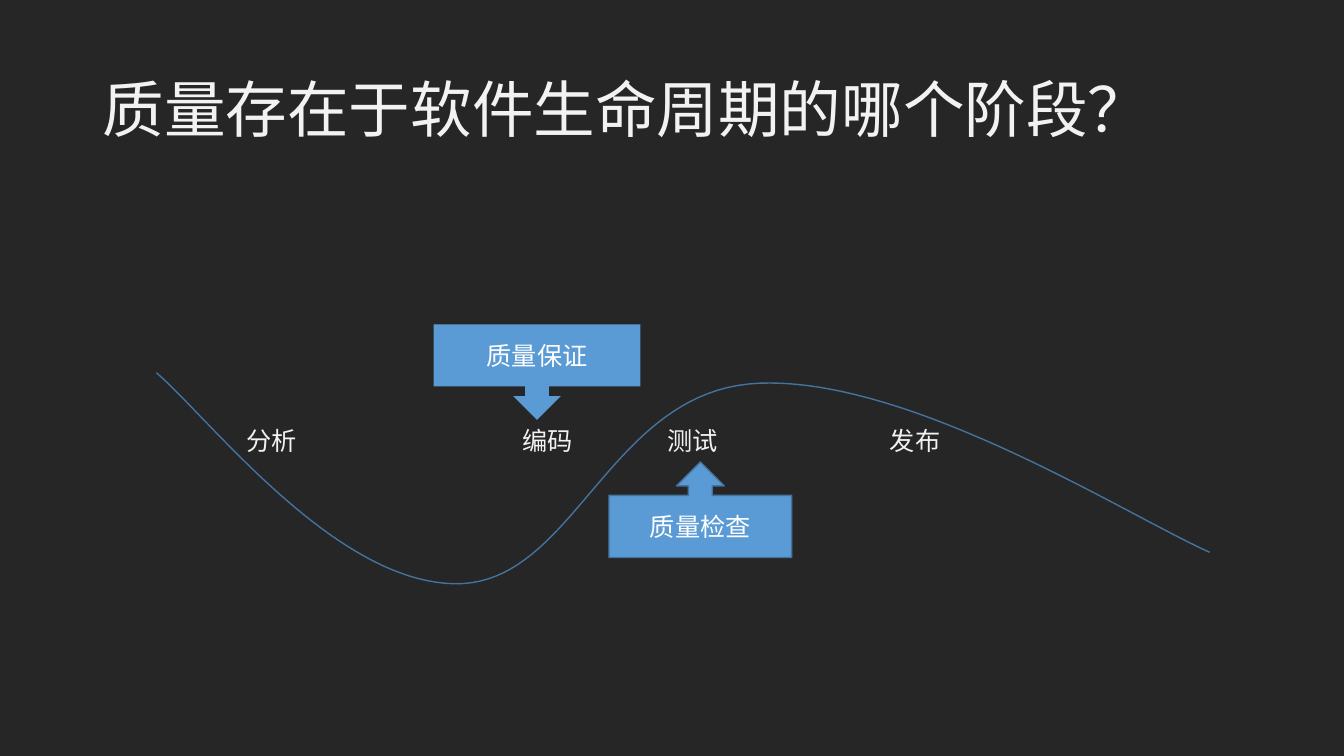
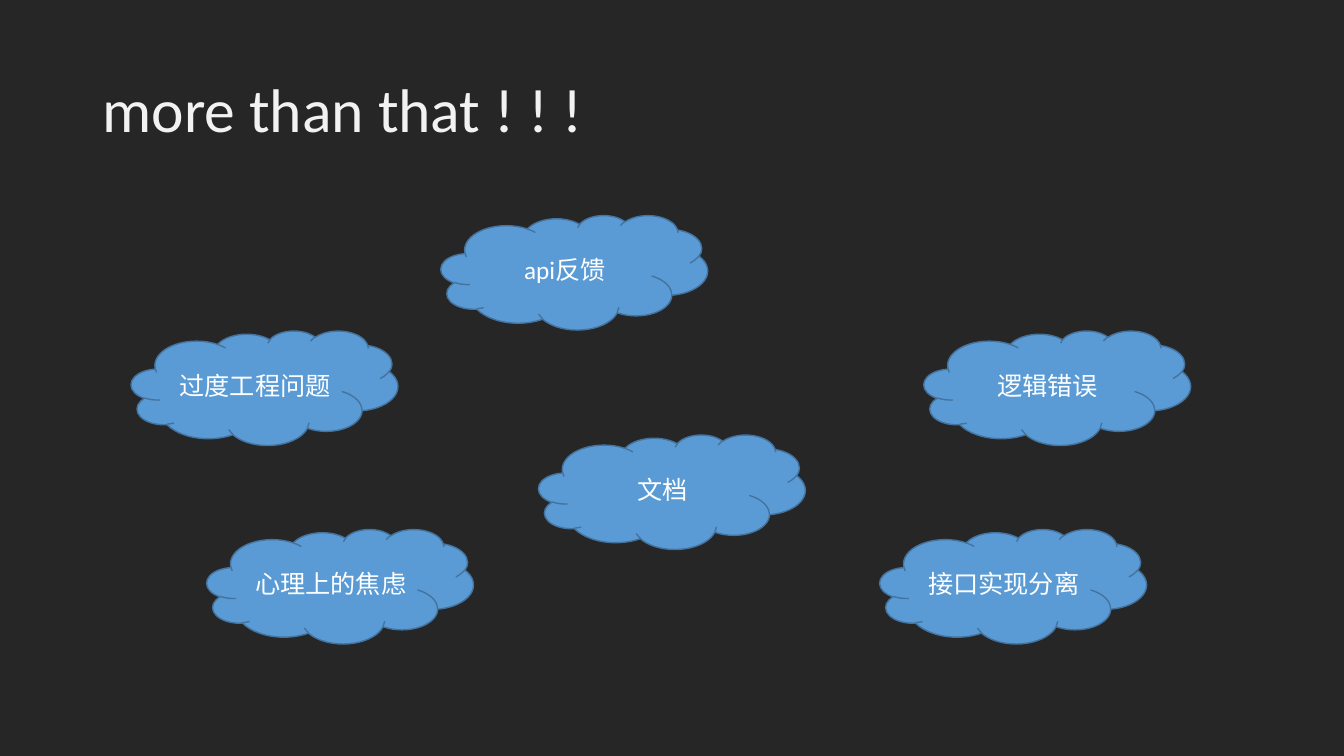
"""Build two dark slides on where software quality lives."""
import pptx
import pptx.dml.color
import pptx.enum.shapes
import pptx.enum.text
import pptx.util

PX = 9525
BACKGROUND = pptx.dml.color.RGBColor(0x26, 0x26, 0x26)
LIGHT = pptx.dml.color.RGBColor(0xF2, 0xF2, 0xF2)
WHITE = pptx.dml.color.RGBColor(0xFF, 0xFF, 0xFF)
BLUE = pptx.dml.color.RGBColor(0x5B, 0x9B, 0xD5)
OUTLINE = pptx.dml.color.RGBColor(0x43, 0x73, 0x9E)
SHAPES = pptx.enum.shapes.MSO_SHAPE
ALIGN = pptx.enum.text.PP_ALIGN
FIT = pptx.enum.text.MSO_AUTO_SIZE


def write(shape, text, size, color, align):
    frame = shape.text_frame
    frame.text = text
    frame.word_wrap = True
    para = frame.paragraphs[0]
    para.alignment = align
    font = para.runs[0].font
    font.name = "Calibri"
    font.size = pptx.util.Pt(size)
    font.color.rgb = color


def add_blue_shape(page, kind, text, left, top, width, height, outlined=True):
    shape = page.shapes.add_shape(kind, left * PX, top * PX, width * PX, height * PX)
    shape.shadow.inherit = False
    shape.fill.solid()
    shape.fill.fore_color.rgb = BLUE
    if outlined:
        shape.line.color.rgb = OUTLINE
        shape.line.width = pptx.util.Pt(1)
    else:
        shape.line.fill.background()
    write(shape, text, 18, WHITE, ALIGN.CENTER)
    shape.text_frame.vertical_anchor = pptx.enum.text.MSO_ANCHOR.MIDDLE


deck = pptx.Presentation()
deck.slide_width = 1280 * PX
deck.slide_height = 720 * PX
deck.slide_master.background.fill.solid()
deck.slide_master.background.fill.fore_color.rgb = BACKGROUND

pages = []
for heading in ["质量存在于软件生命周期的哪个阶段？", "more than that ! ! !"]:
    page = deck.slides.add_slide(deck.slide_layouts[5])
    title = page.shapes.title
    title.left, title.top, title.width, title.height = 88 * PX, 38 * PX, 1104 * PX, 139 * PX
    write(title, heading, 44, LIGHT, ALIGN.LEFT)
    title.text_frame.auto_size = FIT.NONE
    title.text_frame.vertical_anchor = pptx.enum.text.MSO_ANCHOR.MIDDLE
    title.text_frame.paragraphs[0].line_spacing = 0.9
    pages.append(page)
lifecycle, problems = pages

STEPS = 40
start = (149, 355)
bezier_segments = [
    [(200, 399), (318, 554), (433, 556)],
    [(548, 558), (579, 371), (723, 365)],
    [(867, 359), (1072, 490), (1152, 526)],
]
builder = lifecycle.shapes.build_freeform(start[0] * PX, start[1] * PX)
curve_points = []
for first, second, end in bezier_segments:
    for step in range(1, STEPS + 1):
        t = step / STEPS
        weights = [(1 - t) ** 3, 3 * t * (1 - t) ** 2, 3 * t**2 * (1 - t), t**3]
        controls = [start, first, second, end]
        curve_points.append(
            [PX * sum(w * point[axis] for w, point in zip(weights, controls)) for axis in (0, 1)]
        )
    start = end
builder.add_line_segments(curve_points, close=False)
curve = builder.convert_to_shape()
curve.shadow.inherit = False
curve.fill.background()
curve.line.color.rgb = OUTLINE
curve.line.width = pptx.util.Pt(1)

for phase, left, width in [("分析", 225, 157), ("编码", 488, 103), ("测试", 626, 127), ("发布", 838, 125)]:
    box = lifecycle.shapes.add_textbox(left * PX, 400 * PX, width * PX, 38 * PX)
    write(box, phase, 18, LIGHT, ALIGN.LEFT)
    box.text_frame.auto_size = FIT.SHAPE_TO_FIT_TEXT

add_blue_shape(lifecycle, SHAPES.DOWN_ARROW_CALLOUT, "质量保证", 413, 309, 197, 91, outlined=False)
add_blue_shape(lifecycle, SHAPES.UP_ARROW_CALLOUT, "质量检查", 580, 440, 174, 91)

clouds = [
    ("过度工程问题", 125, 315),
    ("接口实现分离", 838, 504),
    ("文档", 513, 414),
    ("api反馈", 420, 205),
    ("心理上的焦虑", 197, 504),
    ("逻辑错误", 880, 315),
]
for problem, left, top in clouds:
    add_blue_shape(problems, SHAPES.CLOUD, problem, left, top, 254, 109)

deck.save("out.pptx")
